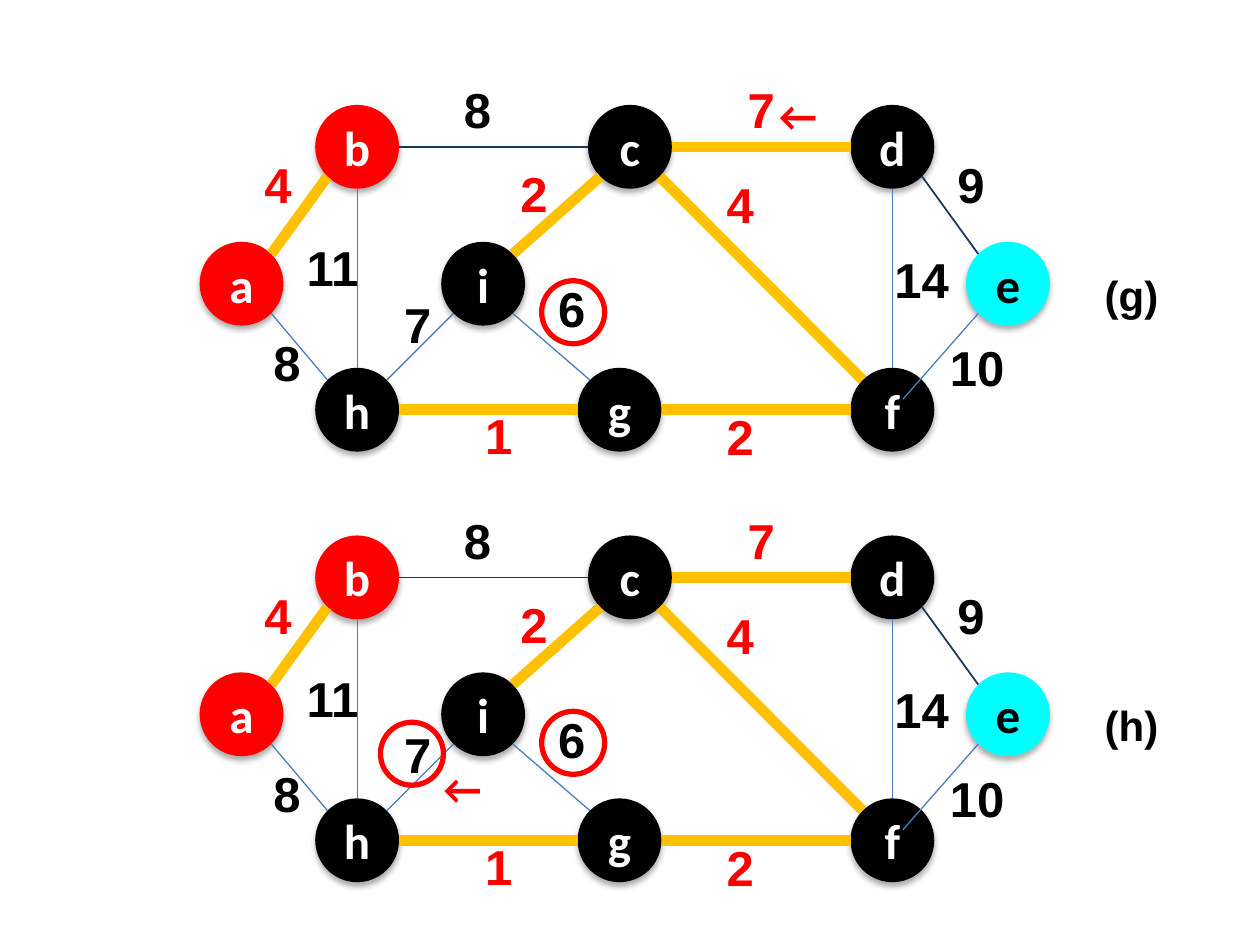
from lxml import etree
from pptx import Presentation
from pptx.dml.color import RGBColor
from pptx.enum.shapes import MSO_CONNECTOR, MSO_SHAPE
from pptx.enum.text import MSO_ANCHOR, MSO_AUTO_SIZE, PP_ALIGN
from pptx.oxml.ns import qn
from pptx.util import Cm, Pt

ELLIPSE = MSO_SHAPE.OVAL
STRAIGHT = MSO_CONNECTOR.STRAIGHT
CENTER = PP_ALIGN.CENTER
MIDDLE = MSO_ANCHOR.MIDDLE
FIT_SHAPE = MSO_AUTO_SIZE.SHAPE_TO_FIT_TEXT

RED = RGBColor(0xFF, 0x00, 0x00)
BLACK = RGBColor(0x00, 0x00, 0x00)
WHITE = RGBColor(0xFF, 0xFF, 0xFF)
CYAN = RGBColor(0x00, 0xFF, 0xFF)
GOLD = RGBColor(0xFF, 0xC0, 0x00)
NAVY = RGBColor(0x17, 0x37, 0x5E)
BLUE = RGBColor(0x4B, 0x7E, 0xBC)

# All positions are in centimetres, relative to the top of a panel
DIAMETER = 1.69
RADIUS = DIAMETER / 2
RING = 1.27
PANEL_STEP = 8.68

# name: centre x, centre y, fill, text colour
NODES = {
    "b": (7.2, 2.96, RED, WHITE),
    "c": (12.7, 2.96, BLACK, WHITE),
    "d": (17.99, 2.96, BLACK, WHITE),
    "a": (4.87, 5.72, RED, WHITE),
    "i": (9.74, 5.72, BLACK, WHITE),
    "e": (20.32, 5.72, CYAN, BLACK),
    "h": (7.2, 8.26, BLACK, WHITE),
    "g": (12.49, 8.26, BLACK, WHITE),
    "f": (17.99, 8.26, BLACK, WHITE),
}

# Attachment points, as fractions of the radius
DIAGONAL = 0.71
SITES = {
    "N": (0, -1), "S": (0, 1), "W": (-1, 0), "E": (1, 0),
    "NW": (-DIAGONAL, -DIAGONAL), "NE": (DIAGONAL, -DIAGONAL),
    "SW": (-DIAGONAL, DIAGONAL), "SE": (DIAGONAL, DIAGONAL),
    "inner NE": (0.25, -0.25),
}

TREE, DARK, THIN = (GOLD, 6), (NAVY, 1), (BLUE, 0.75)
# from node, site, to node, site, style
EDGES = [
    ("b", "E", "c", "W", DARK),
    ("c", "E", "d", "W", TREE),
    ("g", "E", "f", "W", TREE),
    ("h", "E", "g", "W", TREE),
    ("d", "S", "f", "N", THIN),
    ("b", "S", "h", "N", THIN),
    ("b", "SW", "a", "NE", TREE),
    ("d", "SE", "e", "NW", DARK),
    ("a", "SE", "h", "NW", THIN),
    ("e", "SW", "f", "inner NE", THIN),
    ("c", "SW", "i", "NE", TREE),
    ("i", "SW", "h", "NE", THIN),
    ("i", "SE", "g", "NW", THIN),
    ("c", "SE", "f", "NW", TREE),
]

# weight, left, top, width, colour
WEIGHTS = [
    ("4", 5.08, 3, 1.27, RED),
    ("8", 9.1, 1.48, 1.27, BLACK),
    ("7", 14.82, 1.48, 1.27, RED),
    ("9", 19.05, 3, 1.27, BLACK),
    ("11", 5.93, 4.67, 1.69, BLACK),
    ("8", 5.26, 6.58, 1.69, BLACK),
    ("7", 7.9, 5.81, 1.69, BLACK),
    ("6", 11, 5.5, 1.69, BLACK),
    ("1", 9.53, 8.05, 1.69, RED),
    ("2", 10.24, 3.18, 1.69, RED),
    ("2", 14.4, 8.08, 1.69, RED),
    ("4", 14.4, 3.4, 1.69, RED),
    ("14", 17.78, 4.9, 1.69, BLACK),
    ("10", 18.9, 6.68, 1.69, BLACK),
]

# caption, position of the arrow, positions of the rings
PANELS = [
    ("(g)", (15.45, 1.68), [(10.92, 5.66)]),
    ("(h)", (8.69, 6.56), [(10.92, 5.66), (7.67, 5.88)]),
]


def style_text(frame, text, font, size, color):
    frame.text = text
    span = frame.paragraphs[0].runs[0]
    span.font.name = font
    span.font.size = Pt(size)
    span.font.bold = True
    span.font.color.rgb = color


def add_label(shapes, text, left, top, width, height, font, size, color):
    box = shapes.add_textbox(Cm(left), Cm(top), Cm(width), Cm(height))
    box.text_frame.word_wrap = True
    box.text_frame.auto_size = FIT_SHAPE
    style_text(box.text_frame, text, font, size, color)


def add_circle(shapes, left, top, size):
    circle = shapes.add_shape(ELLIPSE, Cm(left), Cm(top), Cm(size), Cm(size))
    circle.shadow.inherit = False
    return circle


def add_node(shapes, name, offset):
    x, y, fill, color = NODES[name]
    node = add_circle(shapes, x - RADIUS, y - RADIUS + offset, DIAMETER)
    node.fill.solid()
    node.fill.fore_color.rgb = fill
    node.line.fill.background()
    # Soft shadow just below the node
    effects = node._element.spPr.find(qn("a:effectLst"))
    shadow = etree.SubElement(effects, qn("a:outerShdw"), blurRad="44450",
                              dist="27940", dir="5400000", algn="ctr")
    tint = etree.SubElement(shadow, qn("a:srgbClr"), val="000000")
    etree.SubElement(tint, qn("a:alpha"), val="32000")
    style_text(node.text_frame, name, "Calibri", 28, color)
    node.text_frame.vertical_anchor = MIDDLE
    node.text_frame.paragraphs[0].alignment = CENTER


def site_point(name, site, offset):
    x, y = NODES[name][:2]
    across, down = SITES[site]
    return Cm(x + across * RADIUS), Cm(y + down * RADIUS + offset)


def add_edge(shapes, start, start_site, end, end_site, style, offset):
    edge = shapes.add_connector(STRAIGHT, *site_point(start, start_site, offset),
                                *site_point(end, end_site, offset))
    color, width = style
    edge.line.color.rgb = color
    edge.line.width = Pt(width)
    etree.SubElement(edge._element.spPr, qn("a:effectLst"))


def add_panel(page, caption, arrow, rings, offset):
    # Weighted graph
    graph = page.shapes.add_group_shape().shapes
    for name in NODES:
        add_node(graph, name, offset)
    for edge in EDGES:
        add_edge(graph, *edge, offset)
    for weight, left, top, width, color in WEIGHTS:
        add_label(graph, weight, left, top + offset, width, 1.45, "Arial", 28, color)

    # Step marks
    left, top = arrow
    add_label(page.shapes, "←", left, top + offset, 1.48, 1.27, "Calibri", 24, RED)
    add_label(page.shapes, caption, 22.02, 5.3 + offset, 2.12, 1.27, "Arial", 24, BLACK)
    for left, top in rings:
        ring = add_circle(page.shapes, left, top + offset, RING)
        ring.fill.background()
        ring.line.color.rgb = RED
        ring.line.width = Pt(3)


def main():
    deck = Presentation()
    deck.slide_width, deck.slide_height = Cm(25.4), Cm(19.05)
    page = deck.slides.add_slide(deck.slide_layouts[6])
    for number, panel in enumerate(PANELS):
        add_panel(page, *panel, number * PANEL_STEP)
    deck.save("out.pptx")


if __name__ == "__main__":
    main()
